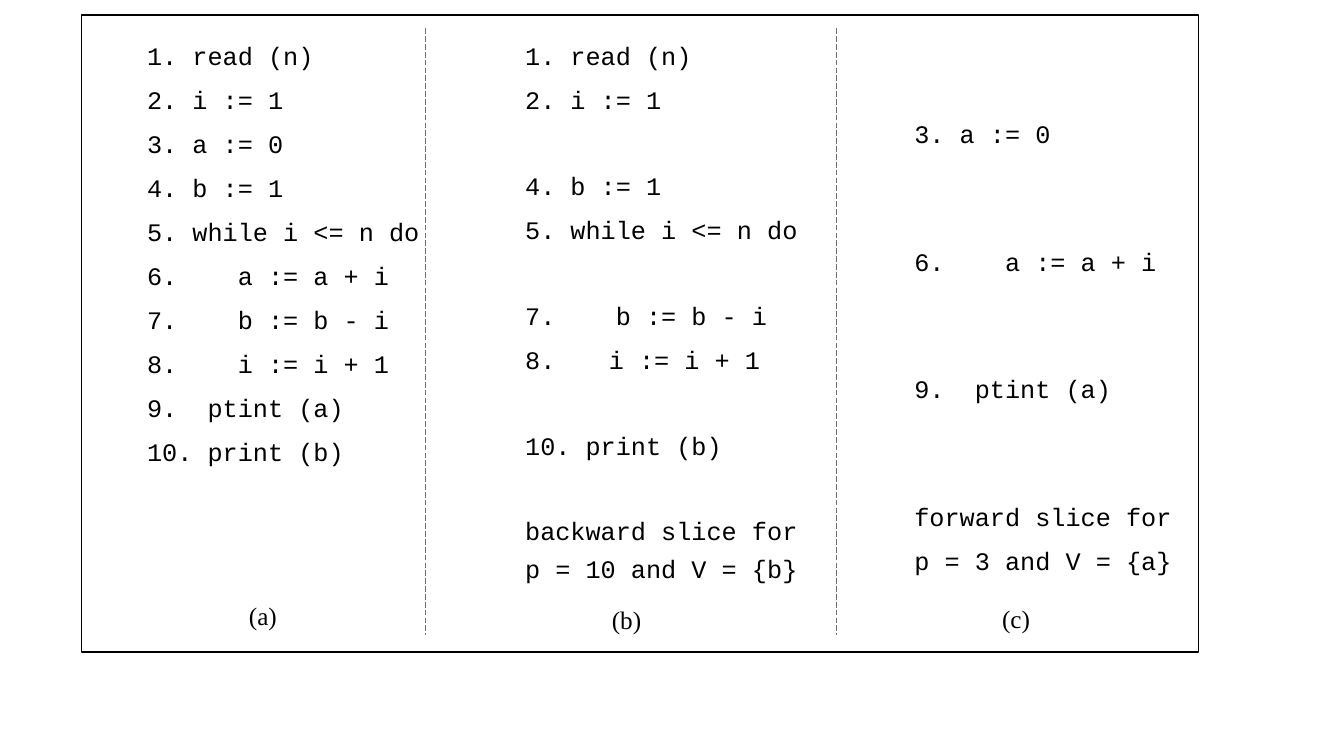
import pptx
import pptx.dml.color
import pptx.enum.dml
import pptx.enum.shapes
import pptx.enum.text
import pptx.oxml.ns
import pptx.util
from lxml import etree

Inches, Pt = pptx.util.Inches, pptx.util.Pt
COLORS = {"ink": "000000", "divider": "767171"}
LINE_SPACING = 1.25
SPACE_BEFORE = 4.4
ROW_PITCH = 29.9  # points from one code line to the next
TOP, BOTTOM = 0.28, 6.3
COLUMN_WIDTH, COLUMN_HEIGHT = 2.92, 4.57

# Each code line: row in the column, text, tab stop in inches (None without a tab)
PANELS = [
    {"left": 1.36, "top": TOP, "caption": "(a)", "caption_at": (2.37, 5.83, 0.48, 0.46),
     "code": [(1, "1. read (n)", None), (2, "2. i := 1", None),
              (3, "3. a := 0", None), (4, "4. b := 1", None),
              (5, "5. while i <= n do", None), (6, "6.\ta := a + i", 0.9),
              (7, "7.\tb := b - i", 0.9), (8, "8.\ti := i + 1", 0.9),
              (9, "9.\tptint (a)", 0.6), (10, "10. print (b)", None)]},
    {"left": 5.11, "top": TOP, "caption": "(b)", "caption_at": (5.97, 5.87, 0.5, 0.43),
     "code": [(1, "1. read (n)", None), (2, "2. i := 1", None),
              (4, "4. b := 1", None), (5, "5. while i <= n do", None),
              (7, "7.\tb := b - i", 0.9), (8, "8.\ti := i + 1", 0.83),
              (10, "10. print (b)", None),
              (12, "backward slice for p = 10 and V = {b}", None)]},
    {"left": 8.97, "top": 1.05, "caption": "(c)", "caption_at": (9.84, 5.86, 0.48, 0.43),
     "code": [(3, "3. a := 0", None), (6, "6.\ta := a + i", 0.9),
              (9, "9.\tptint (a)", 0.6), (12, "forward slice for", None),
              (13, "p = 3 and V = {a}", None)]},
]


def rgb(name):
    return pptx.dml.color.RGBColor.from_string(COLORS[name])


def write_line(paragraph, text, font_name, skipped_rows=0):
    """Add one run, leaving room above it for the rows that are skipped."""
    paragraph.line_spacing = LINE_SPACING
    paragraph.space_before = Pt(round(SPACE_BEFORE + skipped_rows * ROW_PITCH, 2))
    run = paragraph.add_run()
    run.text = text
    run.font.name = font_name
    run.font.size = Pt(18)
    run.font.color.rgb = rgb("ink")


presentation = pptx.Presentation()
presentation.slide_width = Inches(13.33)
presentation.slide_height = Inches(7.5)
slide = presentation.slides.add_slide(presentation.slide_layouts[6])

frame = slide.shapes.add_shape(pptx.enum.shapes.MSO_SHAPE.RECTANGLE,
                               Inches(0.81), Inches(0.15), Inches(11.08), Inches(6.32))
frame.shadow.inherit = False
frame.fill.background()
frame.line.color.rgb = rgb("ink")
frame.line.width = Pt(1)

for panel in PANELS:
    listing = slide.shapes.add_textbox(Inches(panel["left"]), Inches(panel["top"]),
                                       Inches(COLUMN_WIDTH),
                                       Inches(COLUMN_HEIGHT + TOP - panel["top"])).text_frame
    listing.word_wrap = True
    previous_row = panel["code"][0][0] - 1
    for index, (row, text, tab_stop) in enumerate(panel["code"]):
        paragraph = listing.add_paragraph() if index else listing.paragraphs[0]
        write_line(paragraph, text, "Courier New", row - previous_row - 1)
        previous_row = row
        if tab_stop:
            properties = paragraph._p.get_or_add_pPr()
            tabs = etree.SubElement(properties, pptx.oxml.ns.qn("a:tabLst"))
            etree.SubElement(tabs, pptx.oxml.ns.qn("a:tab"),
                             pos=str(Inches(tab_stop)), algn="l")

    caption = slide.shapes.add_textbox(*map(Inches, panel["caption_at"])).text_frame
    caption.word_wrap = False
    caption.auto_size = pptx.enum.text.MSO_AUTO_SIZE.SHAPE_TO_FIT_TEXT
    write_line(caption.paragraphs[0], panel["caption"], "Times New Roman")

for x in (4.22, 8.3):
    divider = slide.shapes.add_connector(pptx.enum.shapes.MSO_CONNECTOR.STRAIGHT,
                                         Inches(x), Inches(TOP), Inches(x), Inches(BOTTOM))
    divider.line.color.rgb = rgb("divider")
    divider.line.width = Pt(0.5)
    divider.line.dash_style = pptx.enum.dml.MSO_LINE.LONG_DASH
    etree.SubElement(divider._element.spPr, pptx.oxml.ns.qn("a:effectLst"))

presentation.save("out.pptx")
